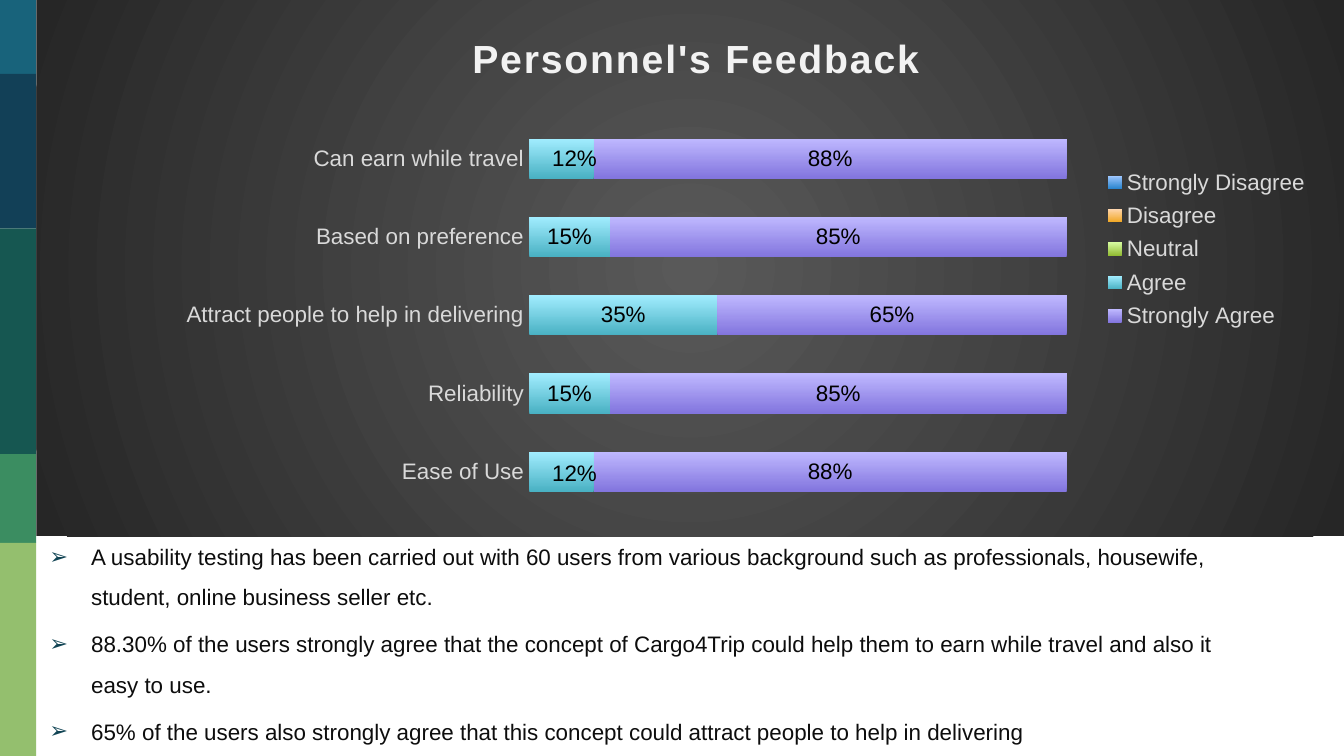
from lxml import etree
from pptx import Presentation
from pptx.chart.data import CategoryChartData
from pptx.dml.color import RGBColor
from pptx.enum.chart import XL_CHART_TYPE as ChartType
from pptx.enum.chart import XL_LABEL_POSITION as LabelPosition
from pptx.enum.chart import XL_LEGEND_POSITION as LegendPosition
from pptx.enum.chart import XL_TICK_MARK as TickMark
from pptx.enum.shapes import MSO_SHAPE as Shape
from pptx.oxml import parse_xml
from pptx.oxml.ns import nsdecls, qn
from pptx.util import Inches, Pt

COLORS = {
    "blue": "18637B", "navy": "124057", "teal": "165751",
    "green": "3B8D61", "lime": "94BF6E",
    "title": "F2F2F2", "label": "D9D9D9", "value": "000000",
    "body": "0D0D0D", "bullet": "114454",
    "center": "595959", "edge": "262626",
}
CELL = 0.1  # the grid has 100 columns, each a tenth of an inch
COLUMNS, ROWS = 100, 56.25
STRIP_WIDTH = 2.7

STRIP = [("blue", 0), ("navy", 5.5), ("teal", 17), ("green", 33.8), ("lime", 40.4)]

CATEGORIES = ["Ease of Use", "Reliability", "Attract people to help in delivering",
              "Based on preference", "Can earn while travel"]
# Name, values, bottom colour, top colour, label colour
SERIES = [
    ("Strongly Disagree", [None] * 5, "2783CD", "A0C8FF", "label"),
    ("Disagree", [None] * 5, "F0A621", "FFD6AD", "label"),
    ("Neutral", [None] * 5, "91BB32", "D6FBA0", "label"),
    ("Agree", [0.12, 0.15, 0.35, 0.15, 0.12], "49B1C3", "A2EDFF", "value"),
    ("Strongly Agree", [0.88, 0.85, 0.65, 0.85, 0.88], "8275DE", "BFB8FF", "value"),
]
FINDINGS = [
    "A usability testing has been carried out with 60 users from various background "
    "such as professionals, housewife, student, online business seller etc.",
    "88.30% of the users strongly agree that the concept of Cargo4Trip could help them "
    "to earn while travel and also it easy to use.",
    "65% of the users also strongly agree that this concept could attract people to "
    "help in delivering",
]


def place(parent, after, inner=False, **shares):
    """Give a chart part a manual layout, in shares of the chart."""
    for old in parent.findall(qn("c:layout")):
        parent.remove(old)
    layout = etree.Element(qn("c:layout"))
    manual = etree.SubElement(layout, qn("c:manualLayout"))
    if inner:
        etree.SubElement(manual, qn("c:layoutTarget"), val="inner")
    if after != "c:idx":  # point labels are moved by an offset instead
        for mode in ("c:xMode", "c:yMode"):
            etree.SubElement(manual, qn(mode), val="edge")
    for name, share in shares.items():
        etree.SubElement(manual, qn(f"c:{name}"), val=str(share))
    if after:
        parent.find(qn(after)).addnext(layout)
    else:
        parent.insert(0, layout)


class SlideBuilder:
    font_name = "Arial"
    text_size = 12

    def __init__(self, presentation):
        self.slide = presentation.slides.add_slide(presentation.slide_layouts[6])

    def box(self, *cells):
        return [Inches(cell * CELL) for cell in cells]

    def style(self, font, color, size=text_size, bold=None):
        font.name, font.size, font.bold = self.font_name, Pt(size), bold
        font.color.rgb = RGBColor.from_string(COLORS[color])

    def block(self, color, *cells):
        shape = self.slide.shapes.add_shape(Shape.RECTANGLE, *self.box(*cells))
        shape.shadow.inherit = False
        shape.fill.solid()
        shape.fill.fore_color.rgb = RGBColor.from_string(COLORS[color])
        shape.line.fill.background()

    def bullets(self, texts, *cells):
        frame = self.slide.shapes.add_textbox(*self.box(*cells)).text_frame
        frame.word_wrap = True
        frame.margin_left = frame.margin_right = Inches(0.1)
        frame.margin_top = frame.margin_bottom = Inches(0.1)
        for number, text in enumerate(texts):
            paragraph = frame.add_paragraph() if number else frame.paragraphs[0]
            paragraph.text = text
            paragraph.line_spacing = 1.5
            if number:
                paragraph.space_before = Pt(3.6)
            properties = paragraph._p.get_or_add_pPr()
            indent = Inches(0.31)
            properties.set("marL", str(indent))
            properties.set("indent", str(-indent))
            bullet_color = etree.SubElement(properties, qn("a:buClr"))
            etree.SubElement(bullet_color, qn("a:srgbClr"), val=COLORS["bullet"])
            etree.SubElement(properties, qn("a:buFont"), typeface=self.font_name)
            etree.SubElement(properties, qn("a:buChar"), char="➢")
            self.style(paragraph.font, "body")

    def stacked_bars(self, title, *cells):
        data = CategoryChartData(number_format="0%")
        data.categories = CATEGORIES
        for name, values, *_ in SERIES:
            data.add_series(name, values)
        chart = self.slide.shapes.add_chart(
            ChartType.BAR_STACKED_100, *self.box(*cells), data).chart
        self.style(chart.font, "value", 10)
        self.chart_background(chart)
        self.chart_title(chart, title)

        # Axes and plot area
        chart.value_axis.visible = False
        chart.value_axis.has_major_gridlines = False
        axis = chart.category_axis
        axis.major_tick_mark = axis.minor_tick_mark = TickMark.NONE
        axis.format.line.fill.background()
        self.style(axis.tick_labels.font, "label")
        place(chart._chartSpace.chart.plotArea, None, inner=True,
              x=0.377, y=0.223, w=0.411, h=0.73)

        # Legend
        chart.has_legend = True
        chart.legend.position = LegendPosition.TOP
        chart.legend.include_in_layout = False
        self.style(chart.legend.font, "label")
        place(chart.legend._element, "c:legendPos", x=0.81, y=0.3, w=0.17, h=0.33)

        # Series and their labels
        plot = chart.plots[0]
        plot.gap_width, plot.overlap = 95, 100
        plot.vary_by_categories = False
        for series, (_, _, bottom, top, label) in zip(plot.series, SERIES):
            self.series_style(series, bottom, top, label)
        for index, drop in ((0, 0.004), (4, 0)):
            point_label = plot.series[3].points[index].data_label
            self.style(point_label.font, "value")
            point_label.position = LabelPosition.CENTER
            place(point_label._dLbl, "c:idx", x=0.01, y=drop)

    def series_style(self, series, bottom, top, label):
        fill = series.format.fill
        fill.gradient()
        fill.gradient_angle = 90
        for stop, color in zip(fill.gradient_stops, (bottom, top)):
            stop.color.rgb = RGBColor.from_string(color)
        labels = series.data_labels
        labels.show_value = True
        labels.number_format, labels.number_format_is_linked = "0%", False
        labels.position = LabelPosition.CENTER
        self.style(labels.font, label)

    def chart_title(self, chart, title):
        chart.has_title = True
        paragraph = chart.chart_title.text_frame.paragraphs[0]
        run = paragraph.add_run()
        run.text = title
        self.style(run.font, "title", 21, bold=True)
        run._r.get_or_add_rPr().set("spc", "100")
        place(chart.chart_title._element, "c:tx", x=0.328, y=0.05)

    def chart_background(self, chart):
        stops = "".join(
            f'<a:gs pos="{position}"><a:srgbClr val="{COLORS[name]}"/></a:gs>'
            for position, name in ((0, "center"), (100000, "edge")))
        chart._chartSpace.chart.addnext(parse_xml(
            f'<c:spPr {nsdecls("c", "a")}><a:gradFill><a:gsLst>{stops}</a:gsLst>'
            '<a:path path="circle"><a:fillToRect l="50000" t="50000" r="50000" '
            'b="50000"/></a:path></a:gradFill><a:ln><a:noFill/></a:ln></c:spPr>'))


def main():
    presentation = Presentation()
    presentation.slide_width = Inches(COLUMNS * CELL)
    presentation.slide_height = Inches(ROWS * CELL)
    builder = SlideBuilder(presentation)

    # Coloured strip on the left: each block reaches down to the next
    bottoms = [top for _, top in STRIP[1:]] + [ROWS]
    for (color, top), bottom in zip(STRIP, bottoms):
        builder.block(color, 0, top, STRIP_WIDTH, bottom - top)

    # Feedback chart and findings
    builder.stacked_bars("Personnel's Feedback", STRIP_WIDTH, 0, COLUMNS - STRIP_WIDTH, 39.9)
    builder.bullets(FINDINGS, STRIP_WIDTH, 38.4, 90, 20.9)
    presentation.save("out.pptx")


if __name__ == "__main__":
    main()
